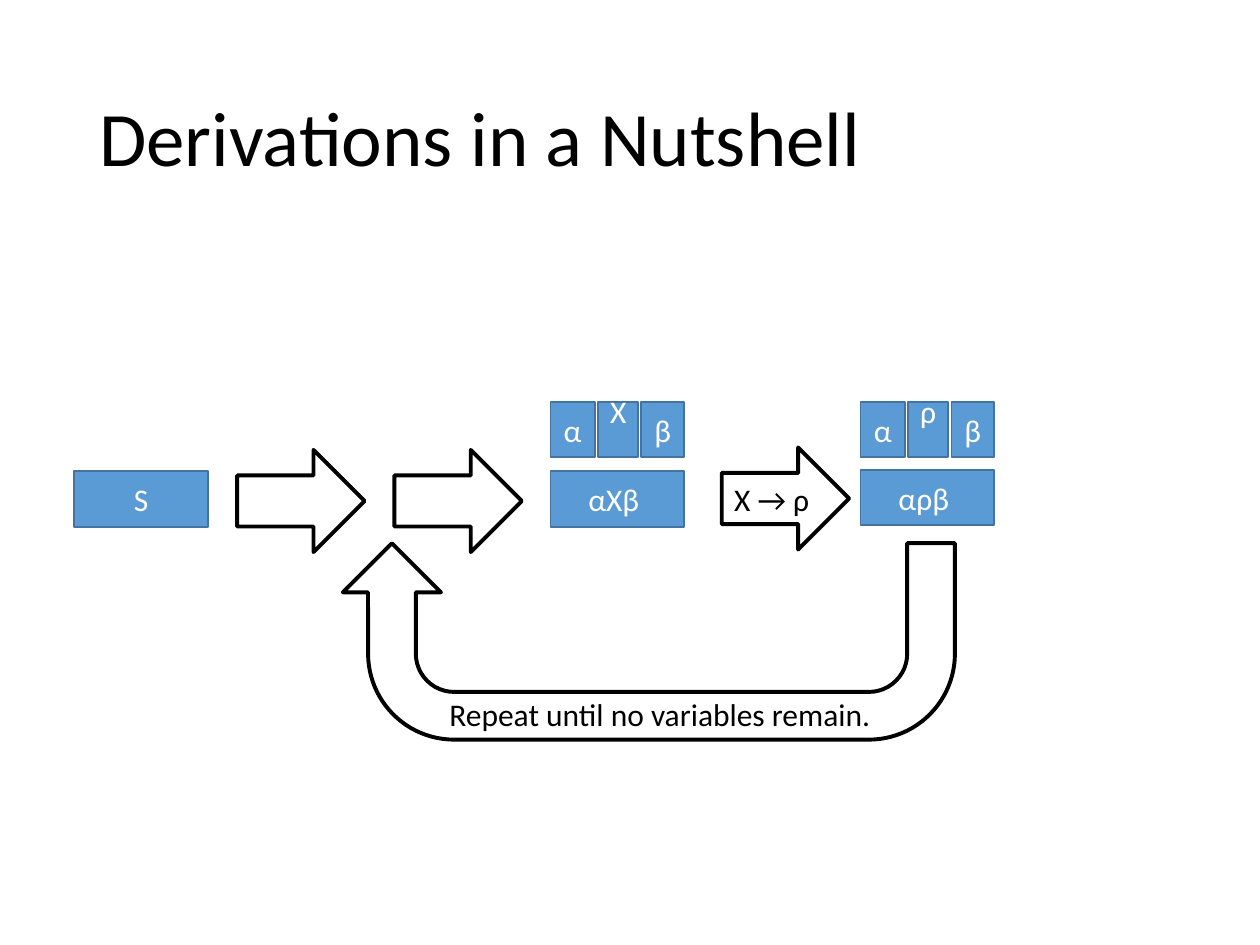
from typing import NamedTuple, Optional

from pptx import Presentation
from pptx.dml.color import RGBColor
from pptx.enum import shapes, text
from pptx.util import Cm, Pt

BLUE = RGBColor(0x5B, 0x9B, 0xD5)
DARK_BLUE = RGBColor(0x43, 0x73, 0x9E)
BLACK = RGBColor(0, 0, 0)
WHITE = RGBColor(255, 255, 255)
FONT = "Calibri"
KIND = shapes.MSO_SHAPE
ALIGN = text.PP_ALIGN
ANCHOR = text.MSO_ANCHOR


class Box(NamedTuple):
    """Left, top, width and height in centimetres."""
    left: float
    top: float
    width: float
    height: float

    def lengths(self):
        """Give the four values as lengths."""
        return [Cm(value) for value in self]


class Arrow(NamedTuple):
    """A step from one string to the next."""
    left: float
    top: float
    rule: str = ""


class Form(NamedTuple):
    """A sentential form, with its symbols above when it is split."""
    left: float
    top: float
    whole: str
    symbols: tuple = ()


FORM_WIDTH, FORM_HEIGHT, SYMBOLS_TOP = 2.69, 1.12, 8.1
SYMBOL_SPANS = ((0, 0.89), (0.95, 0.81), (1.83, 0.86))
ARROW_WIDTH, ARROW_HEIGHT = 2.57, 2.06

# The space after a symbol belongs to the text.
FORMS = (
    Form(1.5, 9.5, "S"),
    Form(11.1, 9.5, "αXβ ", ("α ", "X ", "β ")),
    Form(17.35, 9.47, "αρβ ", ("α ", "ρ ", "β ")),
)
ARROWS = (Arrow(4.78, 9.07), Arrow(7.95, 9.07), Arrow(14.55, 9.02, "X → ρ"))


def write(frame, words: str, *, size: float = 18, color: RGBColor = BLACK,
          align=ALIGN.LEFT, anchor=ANCHOR.MIDDLE,
          spacing: Optional[float] = None) -> None:
    """Put one formatted paragraph in a text frame."""
    frame.word_wrap = True
    frame.vertical_anchor = anchor
    paragraph = frame.paragraphs[0]
    paragraph.alignment = align
    paragraph.line_spacing = spacing
    run = paragraph.add_run()
    run.text = words
    run.font.name = FONT
    run.font.size = Pt(size)
    run.font.color.rgb = color


def add_outline(slide, kind, box: Box, line: RGBColor = BLACK,
                weight: float = 2.25):
    """Add an unfilled shape without a shadow."""
    shape = slide.shapes.add_shape(kind, *box.lengths())
    shape.shadow.inherit = False
    shape.fill.background()
    shape.line.color.rgb = line
    shape.line.width = Pt(weight)
    return shape


def add_cell(slide, box: Box, words: str) -> None:
    """Add a blue cell that holds symbols."""
    cell = add_outline(slide, KIND.RECTANGLE, box, DARK_BLUE, 1)
    cell.fill.solid()
    cell.fill.fore_color.rgb = BLUE
    write(cell.text_frame, words, color=WHITE, align=ALIGN.CENTER)


def add_form(slide, form: Form) -> None:
    """Add a sentential form and the symbols it splits into."""
    add_cell(slide, Box(form.left, form.top, FORM_WIDTH, FORM_HEIGHT), form.whole)
    for (offset, width), symbol in zip(SYMBOL_SPANS, form.symbols):
        add_cell(slide, Box(form.left + offset, SYMBOLS_TOP, width, FORM_HEIGHT),
                 symbol)


def add_arrow(slide, arrow: Arrow) -> None:
    """Add a step arrow, with its rule if there is one."""
    box = Box(arrow.left, arrow.top, ARROW_WIDTH, ARROW_HEIGHT)
    shape = add_outline(slide, KIND.RIGHT_ARROW, box)
    if arrow.rule:
        write(shape.text_frame, arrow.rule)


def add_label(slide, box: Box, words: str, **style) -> None:
    """Add a text box."""
    write(slide.shapes.add_textbox(*box.lengths()).text_frame, words, **style)


def add_loop(slide, box: Box) -> None:
    """Add the arrow that leads back to the repeated step."""
    loop = add_outline(slide, KIND.U_TURN_ARROW, box)
    loop.rotation = 180
    for index, value in enumerate((0.243, 0.25, 0.25, 0.438, 1)):
        loop.adjustments[index] = value


def main() -> None:
    """Build and save the slide."""
    deck = Presentation()
    deck.slide_width, deck.slide_height = Cm(25.4), Cm(19.05)
    slide = deck.slides.add_slide(deck.slide_layouts[6])
    add_label(slide, Box(1.75, 1.02, 21.9, 3.68), "Derivations in a Nutshell",
              size=44, spacing=0.9)
    for form in FORMS:
        add_form(slide, form)
    for arrow in ARROWS:
        add_arrow(slide, arrow)
    add_label(slide, Box(8.81, 13.89, 9.07, 1.02),
              "Repeat until no variables remain.", anchor=ANCHOR.TOP)
    add_loop(slide, Box(6.91, 10.95, 12.34, 3.96))
    deck.save("out.pptx")


main()
